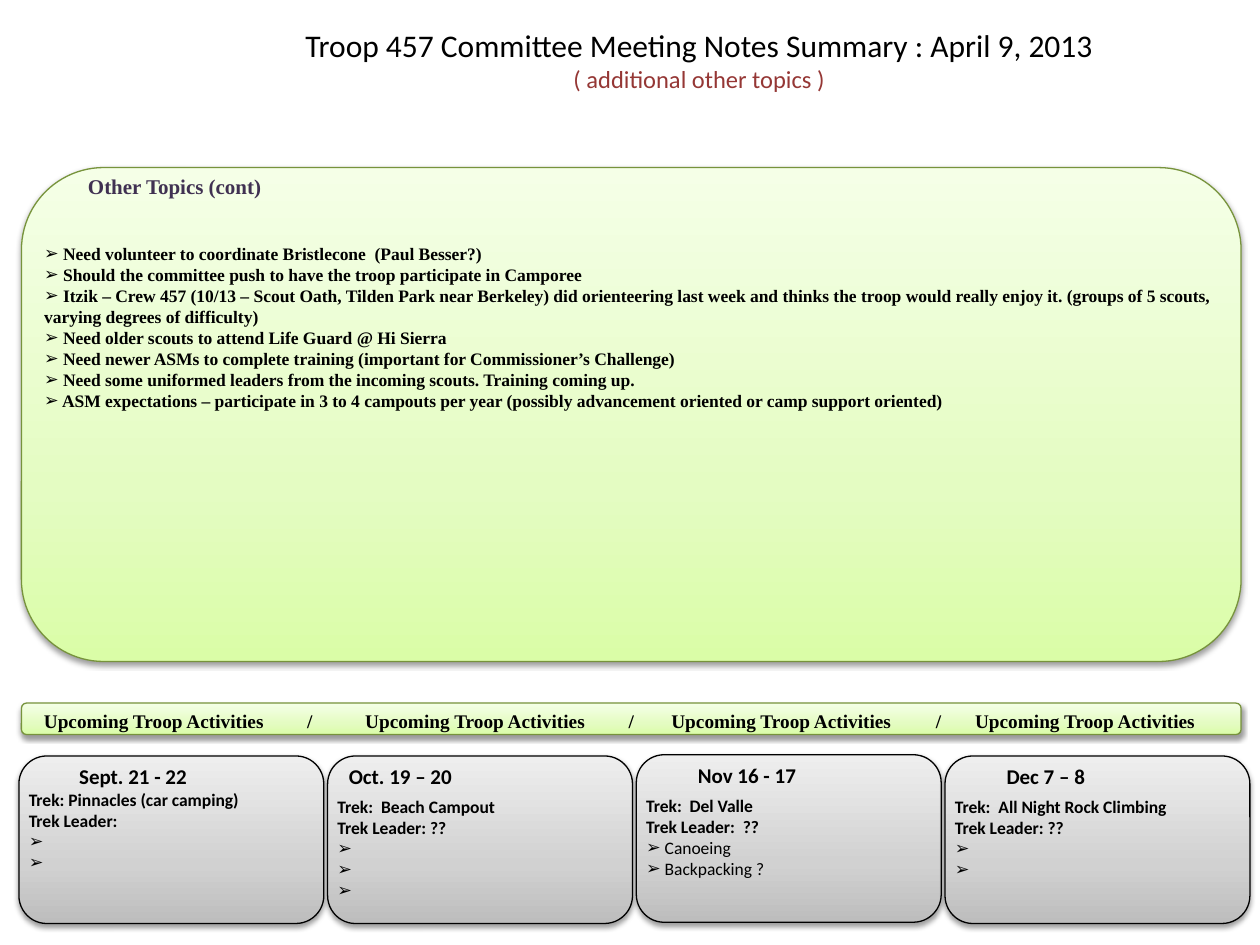
from pptx import Presentation
from pptx.dml.color import RGBColor
from pptx.enum.shapes import MSO_SHAPE
from pptx.enum.text import MSO_ANCHOR, MSO_AUTO_SIZE, PP_ALIGN
from pptx.oxml import parse_xml
from pptx.oxml.ns import nsdecls
from pptx.util import Inches, Pt

SANS, SERIF = "Calibri", "Times New Roman"
BLACK = "000000"
GREEN = ("DAFDA7", "E4FCC2", "F5FFE7")
GRAY = ("BDBDBD", "D1D1D1", "EEEEEE")

TITLE = [
    ("Troop 457 Committee Meeting Notes Summary : April 9, 2013", 18, BLACK),
    ("( additional other topics )", 14, "953735"),
]
TOPICS = [
    "Need volunteer to coordinate Bristlecone  (Paul Besser?)",
    "Should the committee push to have the troop participate in Camporee",
    "Itzik – Crew 457 (10/13 – Scout Oath, Tilden Park near Berkeley) did orienteering "
    "last week and thinks the troop would really enjoy it. (groups of 5 scouts, "
    "varying degrees of difficulty)",
    "Need older scouts to attend Life Guard @ Hi Sierra",
    "Need newer ASMs to complete training (important for Commissioner’s Challenge)",
    "Need some uniformed leaders from the incoming scouts. Training coming up.",
    "ASM expectations – participate in 3 to 4 campouts per year "
    "(possibly advancement oriented or camp support oriented)",
]
BANNER = "\t/\t".join(["Upcoming Troop Activities"] * 4)
BANNER_TABS = (2.09, 2.55, 4.64, 4.98, 7.08, 7.39)

# date, card top, date indent, details offset, details, bulleted items
TREKS = [
    ("Sept. 21 - 22", 6, 0.38, 0.21,
     ["Trek: Pinnacles (car camping)", "Trek Leader:"], ["", ""]),
    ("Oct. 19 – 20", 6, 0.07, 0.27,
     ["Trek:  Beach Campout", "Trek Leader: ??"], ["", "", ""]),
    ("Nov 16 - 17", 5.99, 0.39, 0.27,
     ["Trek:  Del Valle", "Trek Leader:  ??"], ["Canoeing", "Backpacking ?"]),
    ("Dec 7 – 8", 6, 0.39, 0.27,
     ["Trek:  All Night Rock Climbing", "Trek Leader: ??"], ["", ""]),
]
CARD_LEFT, CARD_STEP, CARD_W, CARD_H = 0.15, 2.45, 2.42, 1.33


def rgb(color):
    return RGBColor.from_string(color)


def place(sp, x, y, w, h):
    sp.left, sp.top, sp.width, sp.height = (Inches(v) for v in (x, y, w, h))


def add_panel(shapes, x, y, w, h, colors, line):
    """Rounded box with a bottom-to-top gradient and a soft shadow below."""
    sp = shapes.add_shape(MSO_SHAPE.ROUNDED_RECTANGLE,
                          *(Inches(v) for v in (x, y, w, h)))
    stops = "".join(f'<a:gs pos="{pos}"><a:srgbClr val="{color}"/></a:gs>'
                    for pos, color in zip((0, 35000, 100000), colors))
    sp_pr = sp._element.spPr
    sp_pr.append(parse_xml(
        f'<a:gradFill {nsdecls("a")} rotWithShape="1"><a:gsLst>{stops}</a:gsLst>'
        '<a:lin ang="16200000" scaled="0"/></a:gradFill>'))
    sp.line.color.rgb = rgb(line)
    sp.line.width = Pt(0.75)
    sp_pr.append(parse_xml(
        f'<a:effectLst {nsdecls("a")}><a:outerShdw blurRad="{Pt(3.1)}" '
        f'dist="{Pt(1.6)}" dir="5400000" rotWithShape="0"><a:srgbClr val="{BLACK}">'
        '<a:alpha val="38000"/></a:srgbClr></a:outerShdw></a:effectLst>'))


def add_paragraph(tf, text, size, font, color=BLACK, bold=True, bullet=False):
    p = tf.paragraphs[0]
    if p.runs:
        p = tf.add_paragraph()
    p.space_before = Pt(0)
    if bullet:
        p_pr = p._p.get_or_add_pPr()
        p_pr.set("marL", "0")
        p_pr.set("indent", "0")
        p_pr.append(parse_xml(f'<a:buFont {nsdecls("a")} typeface="Arial"/>'))
        p_pr.append(parse_xml(f'<a:buChar {nsdecls("a")} char="➢"/>'))
    r = p.add_run()
    r.text = " " + text if bullet else text
    r.font.size, r.font.name, r.font.bold = Pt(size), font, bold
    r.font.color.rgb = rgb(color)
    return p


def add_text_box(shapes, x, y, w, h, wrap=True):
    tf = shapes.add_textbox(*(Inches(v) for v in (x, y, w, h))).text_frame
    tf.word_wrap = wrap
    return tf


prs = Presentation()
prs.slide_width, prs.slide_height = Inches(10), Inches(7.5)
s = prs.slides.add_slide(prs.slide_layouts[1])
title, topics = s.shapes.title, s.placeholders[1]

# Title
place(title, 2.28, 0.16, 6.54, 0.64)
tf = title.text_frame
tf.word_wrap, tf.auto_size = False, MSO_AUTO_SIZE.NONE
tf.vertical_anchor = MSO_ANCHOR.TOP
for text, size, color in TITLE:
    p = add_paragraph(tf, text, size, SANS, color, bold=False)
    p.alignment = PP_ALIGN.CENTER

# Other topics
add_panel(s.shapes, 0.17, 1.33, 9.68, 3.92, GREEN, "77933C")
add_paragraph(add_text_box(s.shapes, 0.6, 1.33, 1.7, 0.95),
              "Other Topics (cont)", 12, SERIF, "403152")
place(topics, 0.25, 1.88, 9.54, 3.23)
topics.text_frame.auto_size = MSO_AUTO_SIZE.NONE
for topic in TOPICS:
    add_paragraph(topics.text_frame, topic, 10, SERIF, bullet=True)
s.shapes._spTree.append(topics._element)  # in front of the panel

# Activities banner
add_panel(s.shapes, 0.17, 5.58, 9.68, 0.25, GREEN, "77933C")
p = add_paragraph(add_text_box(s.shapes, 0.25, 5.58, 9.66, 0.29), BANNER, 11, SERIF)
tabs = "".join(f'<a:tab pos="{Inches(x)}" algn="l"/>' for x in BANNER_TABS)
p._p.get_or_add_pPr().append(
    parse_xml(f'<a:tabLst {nsdecls("a")}>{tabs}</a:tabLst>'))

# Trek cards
for i, (date, top, indent, offset, details, items) in enumerate(TREKS):
    left = CARD_LEFT + i * CARD_STEP
    card = s.shapes.add_group_shape().shapes
    add_panel(card, left, top, CARD_W, CARD_H, GRAY, BLACK)
    add_paragraph(add_text_box(card, left + indent, top + 0.01, 1.3, 0.3),
                  date, 12, SANS)
    tf = add_text_box(card, left - 0.02, top + offset, 2.35, 1.05)
    for text in details:
        add_paragraph(tf, text, 10, SANS)
    for text in items:
        add_paragraph(tf, text, 10, SANS, bold=False, bullet=True)

prs.save("out.pptx")
